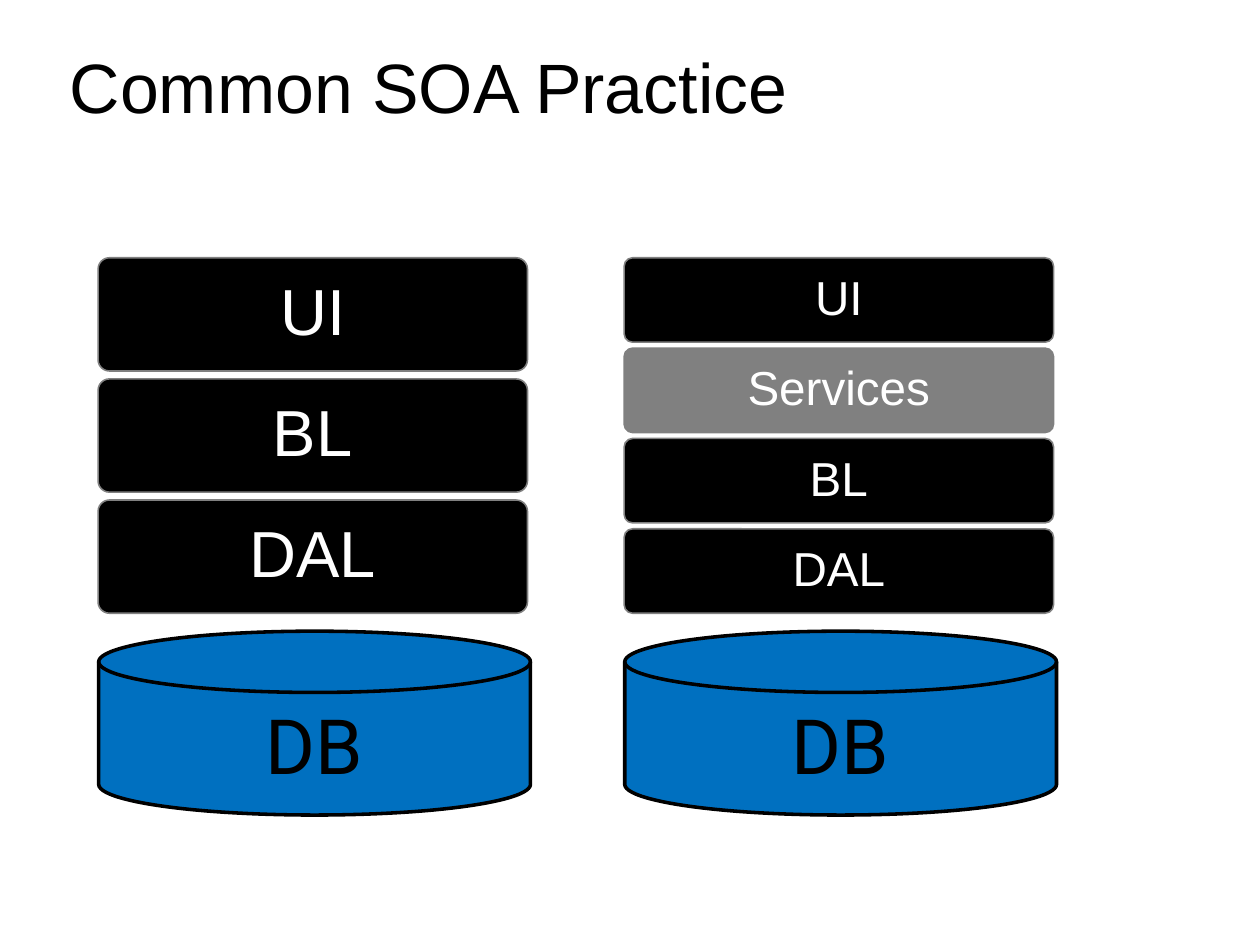
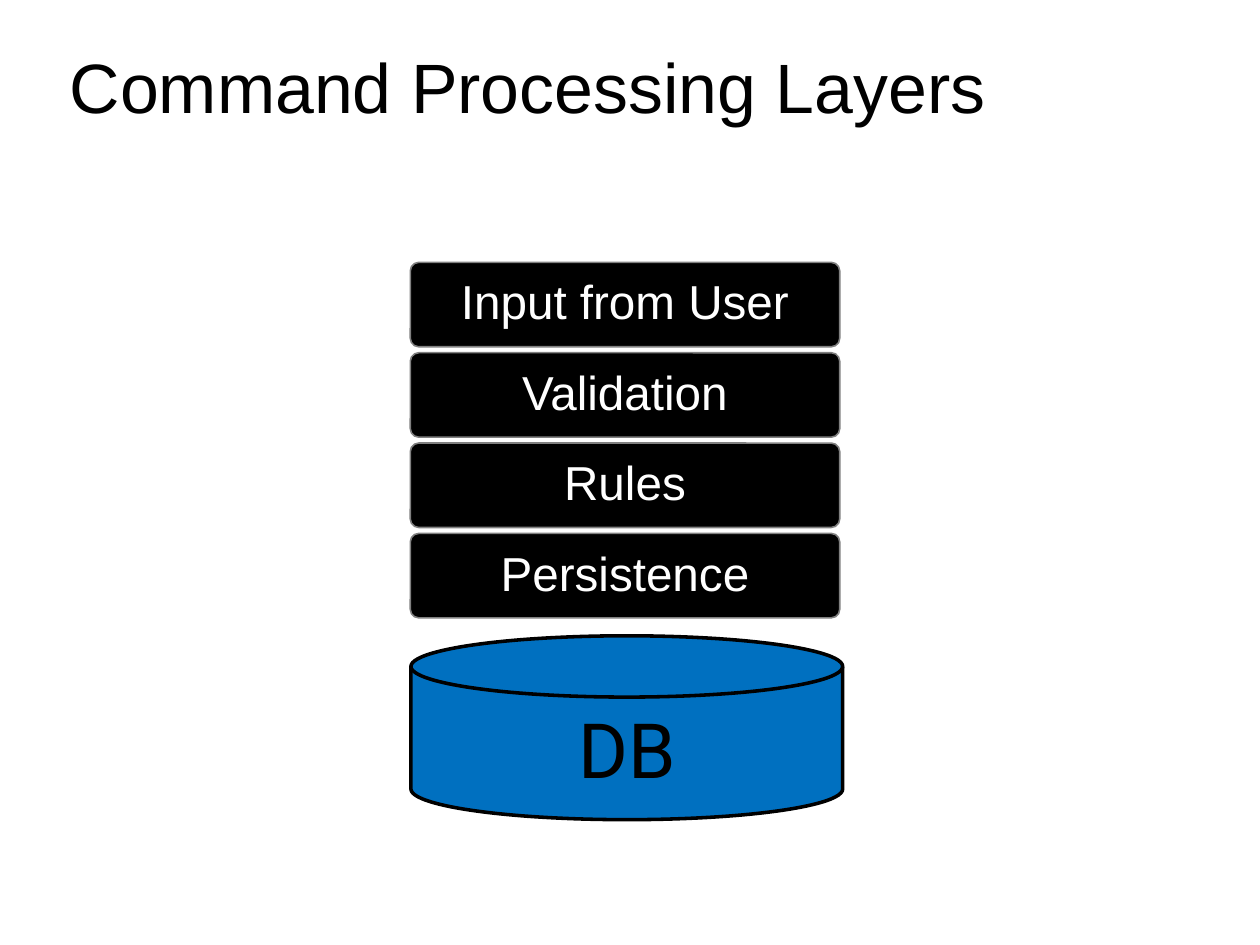
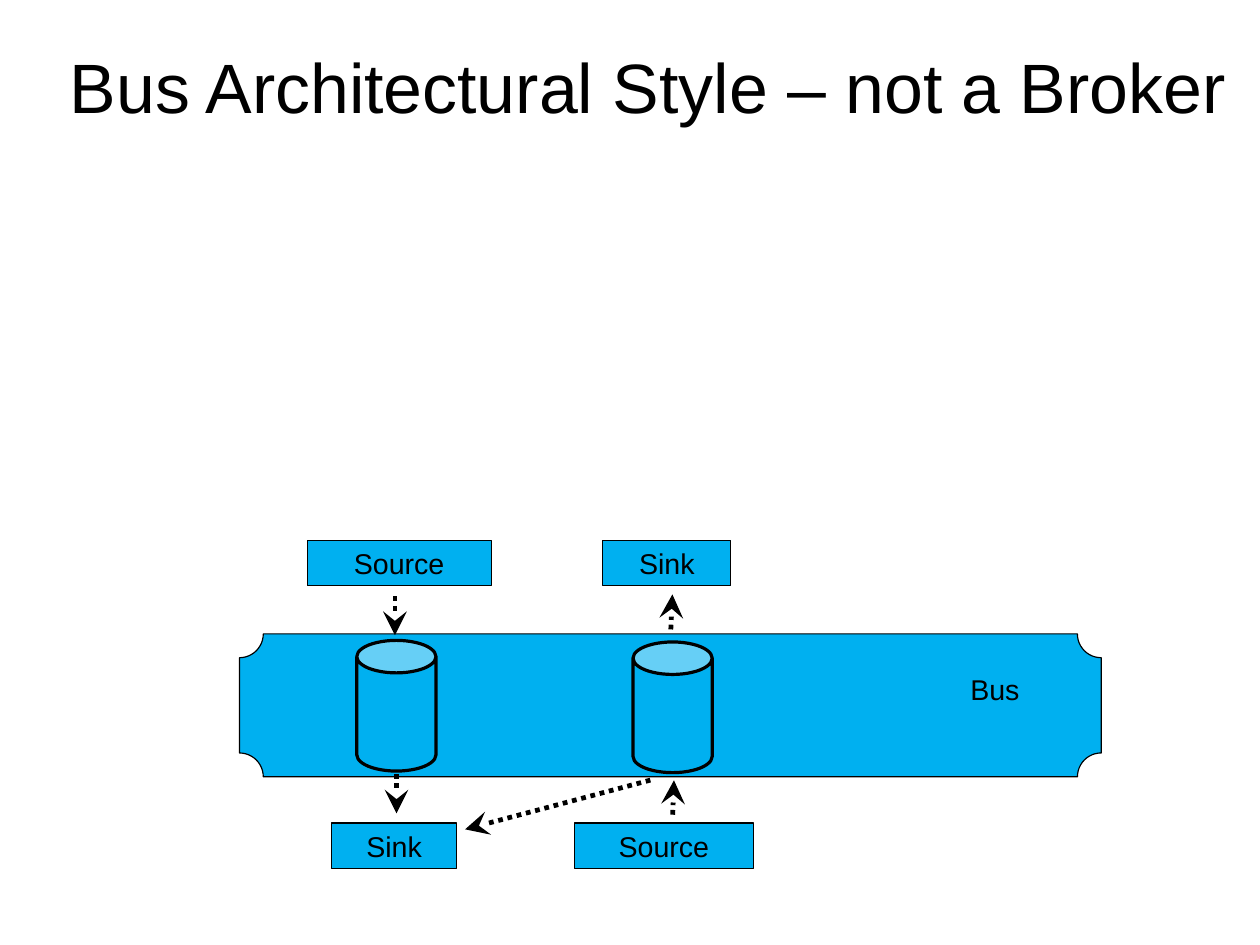
"""Build three slides on service layers and the bus architectural style."""
from dataclasses import dataclass
from typing import Optional

from lxml.etree import SubElement
from pptx import Presentation
from pptx.dml.color import RGBColor
from pptx.enum.dml import MSO_LINE
from pptx.enum.shapes import MSO_CONNECTOR, MSO_SHAPE
from pptx.enum.text import MSO_ANCHOR, PP_ALIGN
from pptx.oxml.ns import qn
from pptx.presentation import Presentation as Deck
from pptx.shapes.autoshape import Shape
from pptx.slide import Slide
from pptx.util import Pt

BLACK = RGBColor(0x00, 0x00, 0x00)
WHITE = RGBColor(0xFF, 0xFF, 0xFF)
GREY = RGBColor(0x80, 0x80, 0x80)
DB_BLUE = RGBColor(0x00, 0x70, 0xC0)
BUS_BLUE = RGBColor(0x00, 0xB0, 0xF0)

SANS = "Arial"
DB_FONT = "Roboto"
STACK_W, STACK_H = 270.5, 223.9
GAP_RATIO = 0.07


@dataclass(frozen=True)
class Box:
    """A rectangle in points."""
    x: float
    y: float
    w: float
    h: float


@dataclass(frozen=True)
class Stack:
    """A pile of layers standing on a database."""
    x: float
    y: float
    layers: tuple[str, ...]
    size: float
    inset: float


@dataclass(frozen=True)
class Label:
    """A one-line labelled box on the bus slide."""
    text: str
    x: float
    y: float
    w: float
    border: Optional[RGBColor] = BLACK


@dataclass(frozen=True)
class Arrow:
    """A dotted arrow between two points."""
    x1: float
    y1: float
    x2: float
    y2: float


STACKS = (
    ("Common SOA Practice", (
        Stack(61.8, 162.4, ("UI", "BL", "DAL"), 41, 12.2),
        Stack(393.2, 162.4, ("UI", "Services", "BL", "DAL"), 30, 8.6),
    )),
    ("Command Processing Layers", (
        Stack(258.5, 165.3, ("Input from User", "Validation", "Rules", "Persistence"), 30, 8.6),
    )),
)
BUS = Box(150.9, 399.3, 542.9, 90)
LABELS = (
    Label("Sink", 208.8, 518.4, 79),
    Label("Source", 193.5, 340.3, 115.9),
    Label("Sink", 379.8, 340.3, 80.6),
    Label("Source", 361.8, 518.4, 112.8),
    Label("Bus", 570.6, 419.4, 112.3, None),
)
CANS = (Box(224.8, 403.4, 49.9, 82.3), Box(398.8, 404.4, 49.9, 82.3))
ARROWS = (
    Arrow(423.8, 513.2, 424.6, 491.5),
    Arrow(422.6, 396.5, 423.6, 374.4),
    Arrow(409.7, 491.4, 293, 522.4),
    Arrow(248.8, 375.6, 248.8, 400.1),
    Arrow(249.8, 487.4, 249.8, 512.4),
)


def add_titled_slide(prs: Deck, title: str) -> Slide:
    """Add a slide with the shared title style."""
    s = prs.slides.add_slide(prs.slide_layouts[5])
    sp = s.shapes.title
    sp.left, sp.top, sp.width, sp.height = Pt(36.7), Pt(28.1), Pt(756.7), Pt(56.9)
    tf = sp.text_frame
    tf.text = title
    tf.vertical_anchor = MSO_ANCHOR.BOTTOM
    p = tf.paragraphs[0]
    p.alignment = PP_ALIGN.LEFT
    p.line_spacing = 0.96
    p.font.name, p.font.size = SANS, Pt(44)
    p.font.color.rgb = BLACK
    return s


def add_block(s: Slide, kind: MSO_SHAPE, box: Box, fill: RGBColor,
              border: Optional[RGBColor], weight: float = 0.75) -> Shape:
    """Add a flat preset shape."""
    sp = s.shapes.add_shape(kind, Pt(box.x), Pt(box.y), Pt(box.w), Pt(box.h))
    sp.shadow.inherit = False
    sp.fill.solid()
    sp.fill.fore_color.rgb = fill
    if border is None:
        sp.line.fill.background()
    else:
        sp.line.color.rgb = border
        sp.line.width = Pt(weight)
    return sp


def set_text(sp: Shape, text: str, font: str, size: float, color: RGBColor) -> None:
    """Write one centred line in a shape."""
    p = sp.text_frame.paragraphs[0]
    p.text = text
    p.alignment = PP_ALIGN.CENTER
    p.font.name, p.font.size = font, Pt(size)
    p.font.color.rgb = color


def add_stack(s: Slide, stack: Stack) -> None:
    """Add evenly spaced layers above a database disk."""
    n = len(stack.layers)
    h = STACK_H / (n + GAP_RATIO * (n - 1))
    for i, name in enumerate(stack.layers):
        box = Box(stack.x, stack.y + i * h * (1 + GAP_RATIO), STACK_W, h)
        fill = GREY if name == "Services" else BLACK
        sp = add_block(s, MSO_SHAPE.ROUNDED_RECTANGLE, box, fill, GREY, 1)
        sp.adjustments[0] = 0.1
        tf = sp.text_frame
        tf.margin_left = tf.margin_right = tf.margin_top = tf.margin_bottom = Pt(stack.inset)
        set_text(sp, name, SANS, stack.size, WHITE)
        tf.paragraphs[0].line_spacing = 0.9
    disk = Box(stack.x + 0.4, stack.y + 235.2, 272, 115.8)
    sp = add_block(s, MSO_SHAPE.FLOWCHART_MAGNETIC_DISK, disk, DB_BLUE, BLACK, 2.25)
    sp.text_frame.vertical_anchor = MSO_ANCHOR.TOP
    set_text(sp, "DB", DB_FONT, 48, BLACK)


def add_arrow(s: Slide, arrow: Arrow) -> None:
    """Add a dotted line with a large stealth head at its end."""
    cn = s.shapes.add_connector(MSO_CONNECTOR.STRAIGHT, Pt(arrow.x1), Pt(arrow.y1),
                                Pt(arrow.x2), Pt(arrow.y2))
    cn.line.color.rgb = BLACK
    cn.line.width = Pt(3)
    cn.line.dash_style = MSO_LINE.ROUND_DOT
    sp_pr = cn._element.spPr
    SubElement(sp_pr.find(qn("a:ln")), qn("a:tailEnd"), type="stealth", w="lg", len="lg")
    SubElement(sp_pr, qn("a:effectLst"))


def add_bus(s: Slide) -> None:
    """Add the bus with its channels, endpoints and arrows."""
    add_block(s, MSO_SHAPE.PLAQUE, BUS, BUS_BLUE, BLACK)
    for label in LABELS:
        box = Box(label.x, label.y, label.w, 28.8)
        sp = add_block(s, MSO_SHAPE.RECTANGLE, box, BUS_BLUE, label.border)
        set_text(sp, label.text, SANS, 18, BLACK)
    for box in CANS:
        sp = add_block(s, MSO_SHAPE.CAN, box, BUS_BLUE, BLACK, 2)
        sp.adjustments[0] = 0.41
    for arrow in ARROWS:
        add_arrow(s, arrow)


def main() -> None:
    """Build and save the deck."""
    prs = Presentation()
    prs.slide_width, prs.slide_height = Pt(793.75), Pt(595.25)
    for title, stacks in STACKS:
        s = add_titled_slide(prs, title)
        for stack in stacks:
            add_stack(s, stack)
    add_bus(add_titled_slide(prs, "Bus Architectural Style – not a Broker"))
    prs.save("out.pptx")


if __name__ == "__main__":
    main()
